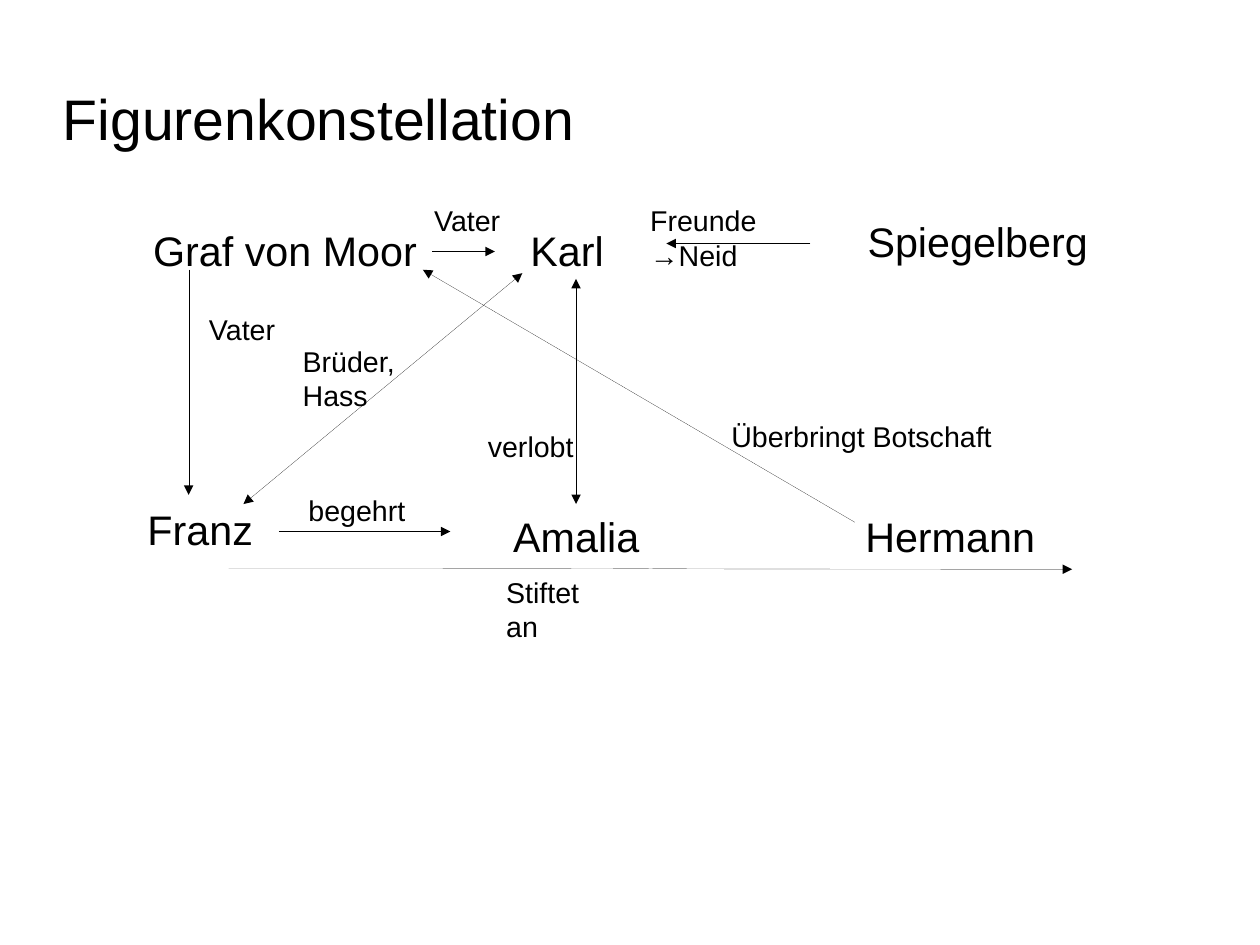
from lxml import etree
from pptx import Presentation
from pptx.dml.color import RGBColor
from pptx.enum.shapes import MSO_CONNECTOR
from pptx.enum.text import MSO_ANCHOR, MSO_AUTO_SIZE
from pptx.oxml.ns import qn
from pptx.util import Inches, Pt

STRAIGHT = MSO_CONNECTOR.STRAIGHT
CURVE = MSO_CONNECTOR.CURVE
TOP = MSO_ANCHOR.TOP
MIDDLE = MSO_ANCHOR.MIDDLE
FIXED = MSO_AUTO_SIZE.NONE
GROW = MSO_AUTO_SIZE.SHAPE_TO_FIT_TEXT
COLORS = {"ink": "000000"}
FONT = "Arial"
CM_PER_INCH = 2.54
FIGURE_SIZE = (3.19, 2.29)
FIGURE_MARGINS = (0.47, 0, 0, 0)
LABEL_MARGINS = (0.1, 0.05, 0.1, 0.05)

FIGURES = [
    ("Karl", 3.37, 0.27),
    ("Franz", 0.02, 2.71),
    ("Spiegelberg", 6.32, 0.19),
    ("Graf von Moor", 0.07, 0.27),
    ("Amalia", 3.22, 2.77),
    ("Hermann", 6.3, 2.77),
]
LABELS = [
    (["Vater"], (0.93, 0.98, 0.79, 0.38), True),
    (["Vater"], (2.9, 0.03, 1.1, 0.66), True),
    (["begehrt"], (1.8, 2.56, 1.1, 0.66), True),
    (["verlobt"], (3.37, 2, 1.57, 0.38), True),
    (["Stiftet an"], (3.53, 3.28, 1.18, 0.38), False),
    (["Überbringt Botschaft"], (5.5, 1.92, 2.48, 0.38), False),
    (["Freunde →Neid"], (4.79, 0.03, 1.96, 0.38), False),
    (["Brüder, ", "Hass"], (1.75, 1.26, 1.07, 0.66), False),
]
RELATIONS = [
    ((0.85, 0.66), (0.85, 2.63), STRAIGHT, False),
    ((2.98, 0.5), (3.53, 0.5), STRAIGHT, False),
    ((1.64, 2.95), (3.14, 2.95), STRAIGHT, False),
    ((6.29, 0.43), (5.03, 0.43), STRAIGHT, False),
    ((6.68, 2.87), (2.9, 0.66), STRAIGHT, False),
    ((1.2, 3.27), (8.58, 3.28), CURVE, False),
    ((4.24, 0.74), (4.24, 2.71), STRAIGHT, True),
    ((3.77, 0.69), (1.33, 2.71), STRAIGHT, True),
]


def add_text(slide, box, lines, size, margins, anchor=TOP, wrap=True, fit=GROW):
    """Add a text box with one paragraph per line."""
    shape = slide.shapes.add_textbox(*map(Inches, box))
    frame = shape.text_frame
    frame.word_wrap = wrap
    frame.auto_size = fit
    frame.vertical_anchor = anchor
    (frame.margin_left, frame.margin_top,
     frame.margin_right, frame.margin_bottom) = map(Inches, margins)
    for index, line in enumerate(lines):
        paragraph = frame.add_paragraph() if index else frame.paragraphs[0]
        run = paragraph.add_run()
        run.text = line
        run.font.name = FONT
        run.font.size = Pt(size)
        run.font.color.rgb = RGBColor.from_string(COLORS["ink"])


def add_arrow(slide, start, end, kind, both_ways):
    """Add a hairline connector with a triangle at its end or at both ends."""
    connector = slide.shapes.add_connector(kind, *map(Inches, start + end))
    connector.line.color.rgb = RGBColor.from_string(COLORS["ink"])
    properties = connector._element.spPr
    line = properties.find(qn("a:ln"))
    line.set("w", "0")
    for tag in ["a:headEnd", "a:tailEnd"] if both_ways else ["a:tailEnd"]:
        etree.SubElement(line, qn(tag), type="triangle")
    etree.SubElement(properties, qn("a:effectLst"))


def add_title(slide, box):
    """Fill the title box with the heading."""
    add_text(slide, box, ["Figurenkonstellation"], 36, (0, 0, 0, 0), MIDDLE)


def add_constellation(slide, box):
    """Place figures, relations and their labels relative to the box."""
    left, top = box[:2]
    for name, x, y in FIGURES:
        add_text(slide, (left + x, top + y) + FIGURE_SIZE, [name], 26,
                 FIGURE_MARGINS, fit=FIXED)
    for start, end, kind, both_ways in RELATIONS:
        start, end = [(left + x, top + y) for x, y in (start, end)]
        add_arrow(slide, start, end, kind, both_ways)
    for lines, (x, y, width, height), wrap in LABELS:
        add_text(slide, (left + x, top + y, width, height), lines, 18,
                 LABEL_MARGINS, wrap=wrap)


def main():
    """Build and save the presentation."""
    presentation = Presentation()
    presentation.slide_width = Inches(28 / CM_PER_INCH)
    presentation.slide_height = Inches(21 / CM_PER_INCH)
    slide = presentation.slides.add_slide(presentation.slide_layouts[6])
    add_title(slide, (0.55, 0.63, 7.87, 0.79))
    add_constellation(slide, (0.8, 1.7, 9.5, 5.06))
    presentation.save("out.pptx")


main()
